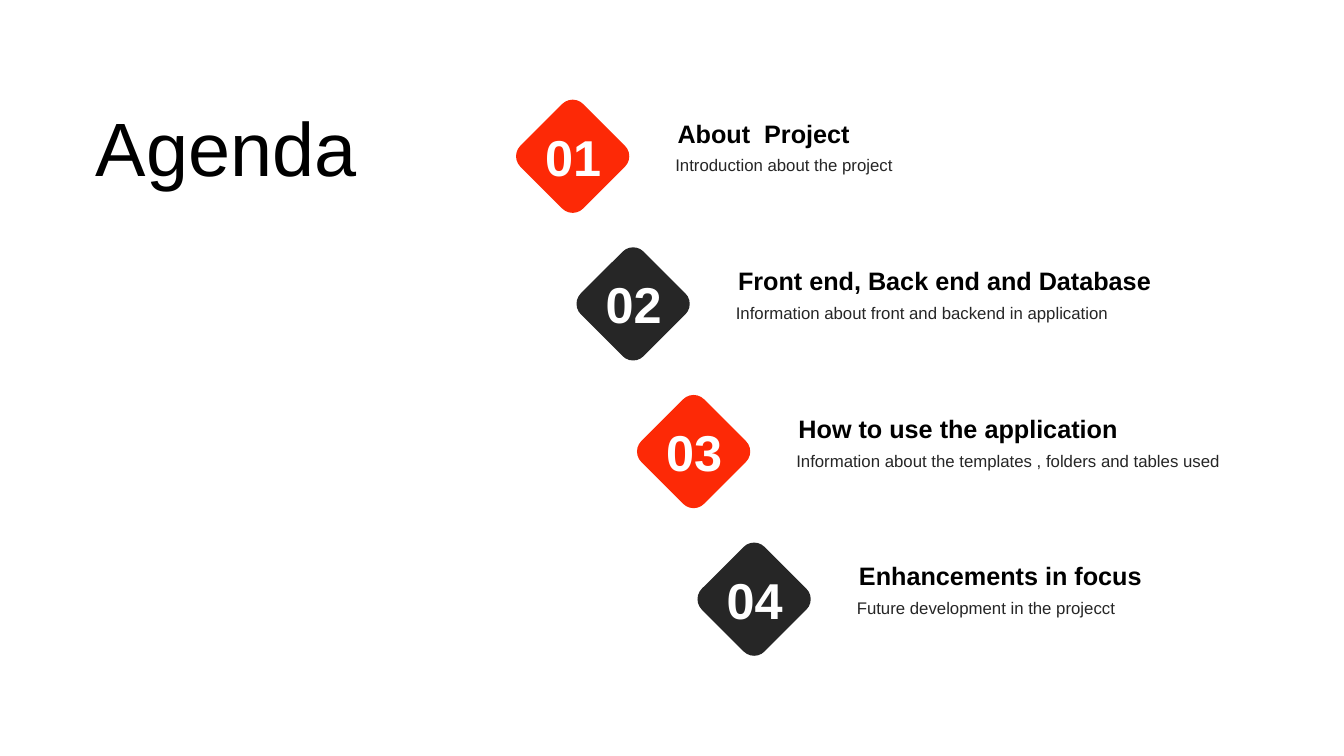
from pptx import Presentation
from pptx.dml.color import RGBColor
from pptx.enum.shapes import MSO_SHAPE
from pptx.enum.text import MSO_ANCHOR, MSO_AUTO_SIZE, PP_ALIGN
from pptx.util import Inches, Pt

RED = RGBColor(0xFD, 0x29, 0x06)
CHARCOAL = RGBColor(0x26, 0x26, 0x26)
BLACK = RGBColor(0x00, 0x00, 0x00)
WHITE = RGBColor(0xFF, 0xFF, 0xFF)

TITLE = {"size": Pt(54), "color": BLACK, "bold": False}
HEADING = {"size": Pt(18), "color": BLACK, "bold": True}
DETAIL = {"size": Pt(12), "color": CHARCOAL, "bold": False}
NUMBER = {"size": Pt(36), "color": WHITE, "bold": True}

TOPICS = [
    ("About  Project", "Introduction about the project"),
    ("Front end, Back end and Database", "Information about front and backend in application"),
    ("How to use the application", "Information about the templates , folders and tables used"),
    ("Enhancements in focus", "Future development in the projecct"),
]
FIRST_LEFT, FIRST_TOP = 39.31, 14.8
STEP_RIGHT, STEP_DOWN = 4.5, 19.53


class AgendaSlide:
    """Draws styled elements on one slide, with lengths in percent of its size."""

    font_name = "Arial"
    wide_inset = 0.9

    def __init__(self, deck):
        self.width, self.height = deck.slide_width, deck.slide_height
        self.page = deck.slides.add_slide(deck.slide_layouts[5])

    def area(self, left, top, width, height):
        return (
            round(self.width * left / 100),
            round(self.height * top / 100),
            round(self.width * width / 100),
            round(self.height * height / 100),
        )

    def set_text(self, box, text, style, **frame_format):
        frame = box.text_frame
        settings = {
            "word_wrap": True,
            "auto_size": MSO_AUTO_SIZE.SHAPE_TO_FIT_TEXT,
            "vertical_anchor": MSO_ANCHOR.TOP,
        }
        for name, value in (settings | frame_format).items():
            setattr(frame, name, value)
        para = frame.paragraphs[0]
        para.alignment = PP_ALIGN.CENTER if style is NUMBER else PP_ALIGN.LEFT
        span = para.add_run()
        span.text = text
        span.font.name = self.font_name
        span.font.color.rgb = style["color"]
        for name in ("size", "bold"):
            setattr(span.font, name, style[name])

    def title(self, text, *place):
        box = self.page.shapes.title
        for name, value in zip(("left", "top", "width", "height"), self.area(*place)):
            setattr(box, name, value)
        self.set_text(box, text, TITLE, vertical_anchor=MSO_ANCHOR.MIDDLE)

    def label(self, group, text, style, *place):
        inset = self.area(self.wide_inset, 0, 0, 0)[0]
        margins = {} if style is DETAIL else {"margin_left": inset, "margin_right": inset}
        box = group.shapes.add_textbox(*self.area(*place))
        self.set_text(box, text, style, **margins)

    def diamond(self, group, color, *place):
        shape = group.shapes.add_shape(MSO_SHAPE.ROUNDED_RECTANGLE, *self.area(*place))
        shape.rotation = 315
        shape.shadow.inherit = False
        shape.fill.solid()
        shape.fill.fore_color.rgb = color
        shape.line.fill.background()

    def topic(self, index, heading, detail):
        left = FIRST_LEFT + index * STEP_RIGHT
        top = FIRST_TOP + index * STEP_DOWN
        group = self.page.shapes.add_group_shape()
        self.label(group, detail, DETAIL, left + 10.2, top + 5.07, 33.23, 4)
        self.label(group, heading, HEADING, left + 10.2, top + 0.13, 33.23, 5.33)
        self.diamond(group, (RED, CHARCOAL)[index % 2], left, top, 6.6, 11.73)
        self.label(group, f"{index + 1:02}", NUMBER, left - 0.6, top + 1.2, 7.88, 9.47)


def main():
    deck = Presentation()
    deck.slide_width, deck.slide_height = Inches(13.33), Inches(7.5)
    agenda = AgendaSlide(deck)
    agenda.title("Agenda", 6.38, 12.67, 22.28, 13.47)
    for index, (heading, detail) in enumerate(TOPICS):
        agenda.topic(index, heading, detail)
    deck.save("out.pptx")


if __name__ == "__main__":
    main()
